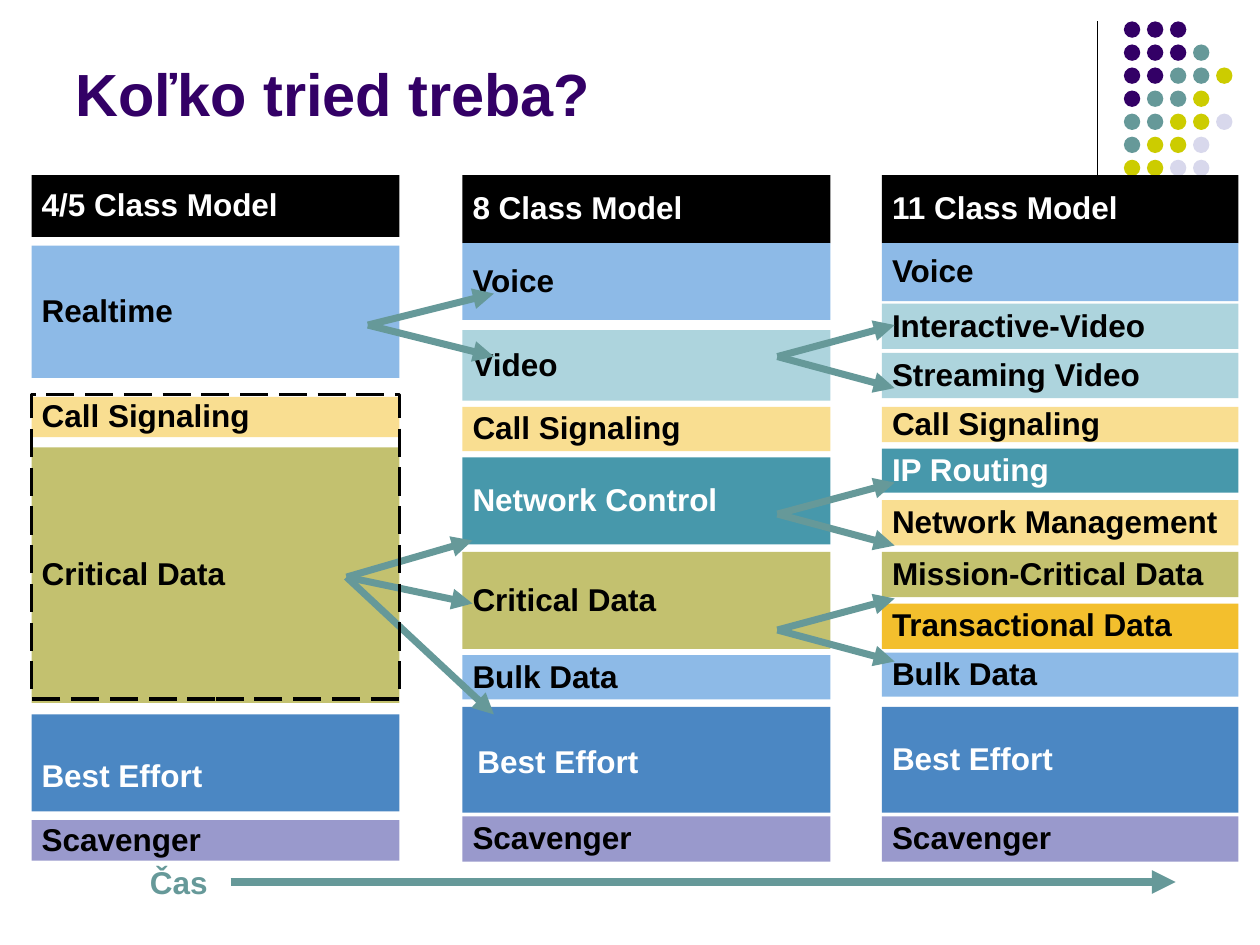
from pptx import Presentation
from pptx.dml.color import RGBColor
from pptx.enum.dml import MSO_LINE
from pptx.enum.shapes import MSO_CONNECTOR, MSO_SHAPE
from pptx.enum.text import MSO_ANCHOR, PP_ALIGN
from pptx.oxml.ns import qn
from pptx.util import Inches, Pt
from lxml.etree import SubElement

# Content: columns as (left, width, rows); a row is (text, top, height)
MODELS = [
    (0.25, 2.92, [
        ("4/5 Class Model", 1.39, 0.49), ("Realtime", 1.95, 1.05),
        ("Call Signaling", 3.15, 0.32), ("Critical Data", 3.55, 2.03),
        ("Best Effort", 5.67, 0.77), ("Scavenger", 6.51, 0.32)]),
    (3.67, 2.92, [
        ("8 Class Model", 1.39, 0.54), ("Voice", 1.93, 0.61),
        ("Video", 2.62, 0.56), ("Call Signaling", 3.23, 0.35),
        ("Network Control", 3.63, 0.69), ("Critical Data", 4.38, 0.77),
        ("Bulk Data", 5.2, 0.35), ("Best Effort", 5.61, 0.84),
        ("Scavenger", 6.48, 0.36)]),
    (7, 2.83, [
        ("11 Class Model", 1.39, 0.54), ("Voice", 1.93, 0.46),
        ("Interactive-Video", 2.41, 0.36), ("Streaming Video", 2.8, 0.36),
        ("Call Signaling", 3.23, 0.28), ("IP Routing", 3.56, 0.35),
        ("Network Management", 3.97, 0.36),
        ("Mission-Critical Data", 4.38, 0.36),
        ("Transactional Data", 4.79, 0.36), ("Bulk Data", 5.18, 0.35),
        ("Best Effort", 5.61, 0.84), ("Scavenger", 6.48, 0.36)]),
]

# Fill of each traffic class
FILLS = {
    "000000": ["4/5 Class Model", "8 Class Model", "11 Class Model"],
    "8DBAE7": ["Realtime", "Voice", "Bulk Data"],
    "ADD4DD": ["Video", "Interactive-Video", "Streaming Video"],
    "F9DE91": ["Call Signaling", "Network Management"],
    "4798AB": ["Network Control", "IP Routing"],
    "C3C16F": ["Critical Data", "Mission-Critical Data"],
    "F3BF2D": ["Transactional Data"],
    "4B87C3": ["Best Effort"],
    "9999CC": ["Scavenger"],
}
FILL_OF = {name: tone for tone, names in FILLS.items() for name in names}
DARK = ("000000", "4798AB", "4B87C3")

# Labels set apart from their box: (column, text) -> left, top, width
LOOSE = {(0, "Best Effort"): (0.25, 5.98, 2.83),
         (1, "Best Effort"): (3.71, 5.87, 2.83)}

# Splits: start point, then end points
SPLITS = [
    ((6.17, 4.08), [(7.1, 3.83), (7.1, 4.33)]),
    ((6.17, 5), [(7.1, 4.75), (7.1, 5.25)]),
    ((6.17, 2.83), [(7.1, 2.58), (7.1, 3.08)]),
    ((2.92, 2.58), [(3.92, 2.33), (3.92, 2.83)]),
    ((2.75, 4.58), [(3.75, 4.29), (3.75, 4.79), (3.92, 5.67)]),
]

# Corner dots, one letter a dot
DOTS = ["PPP", "PPPT", "PPTTY", "PTTY", "TTYYL", "TYYL", "YYLL"]
TEAL, PLUM = "669999", "330066"
TONES = {"P": PLUM, "T": TEAL, "Y": "CCCC00", "L": "D8D8EC"}

deck = Presentation()
deck.slide_width, deck.slide_height = Inches(10), Inches(7.5)
slide = deck.slides.add_slide(deck.slide_layouts[5])
shapes = slide.shapes


def color(tone):
    return RGBColor.from_string(tone)


def write(shape, text, size=18, tone="000000", anchor=MSO_ANCHOR.MIDDLE,
          inset=(0.08, 0.04), space=0.95):
    frame = shape.text_frame
    frame.word_wrap = True
    frame.vertical_anchor = anchor
    frame.margin_left = frame.margin_right = Inches(inset[0])
    frame.margin_top = frame.margin_bottom = Inches(inset[1])
    para = frame.paragraphs[0]
    para.alignment = PP_ALIGN.LEFT
    para.line_spacing = space
    run = para.add_run()
    run.text = text
    font = run.font
    font.name, font.size, font.bold = "Arial", Pt(size), True
    font.color.rgb = color(tone)


def label(text, left, top, width, height, **style):
    box = shapes.add_textbox(*map(Inches, (left, top, width, height)))
    write(box, text, **style)


def draw(kind, left, top, width, height, fill=None):
    shape = shapes.add_shape(kind, *map(Inches, (left, top, width, height)))
    shape.shadow.inherit = False
    shape.line.fill.background()
    if fill:
        shape.fill.solid()
        shape.fill.fore_color.rgb = color(fill)
    else:
        shape.fill.background()
    return shape


def link(start, end, tone=TEAL, width=4, arrow=True):
    line = shapes.add_connector(
        MSO_CONNECTOR.STRAIGHT, *map(Inches, (*start, *end)))
    line.line.color.rgb = color(tone)
    line.line.width = Pt(width)
    if arrow:
        SubElement(line.line._get_or_add_ln(), qn("a:tailEnd"),
                   type="triangle")
    SubElement(line._element.spPr, qn("a:effectLst"))


# Corner ornament
link((8.71, 0.17), (8.71, 1.83), tone="000000", width=0.75, arrow=False)
STEP = 0.183
for row, marks in enumerate(DOTS):
    for col, mark in enumerate(marks):
        draw(MSO_SHAPE.OVAL, 8.92 + col * STEP, 0.17 + row * STEP,
             0.13, 0.13, TONES[mark])

# Title
title = shapes.title
title.left, title.top = Inches(0.5), Inches(0.13)
title.width, title.height = Inches(8.25), Inches(0.94)
write(title, "Koľko tried treba?", size=34, tone=PLUM,
      anchor=MSO_ANCHOR.BOTTOM, inset=(0.1, 0.05), space=1)

# Class columns
for col, (left, width, rows) in enumerate(MODELS):
    for text, top, height in rows:
        fill = FILL_OF[text]
        tone = "FFFFFF" if fill in DARK else "000000"
        box = draw(MSO_SHAPE.RECTANGLE, left, top, width, height, fill)
        if (col, text) in LOOSE:
            label(text, *LOOSE[col, text], 0.36, tone=tone,
                  anchor=MSO_ANCHOR.TOP)
        else:
            write(box, text, tone=tone)

# Split arrows
for start, ends in SPLITS:
    for end in ends:
        link(start, end)

# Dashed frame around signaling and critical data
frame = draw(MSO_SHAPE.RECTANGLE, 0.25, 3.13, 2.92, 2.42)
frame.line.color.rgb = color("000000")
frame.line.width = Pt(2)
frame.line.dash_style = MSO_LINE.LONG_DASH

# Time axis
label("Čas", 1.11, 6.79, 0.7, 0.42, tone=TEAL, space=1)
link((1.83, 7), (9.33, 7), width=4.5)

deck.save("out.pptx")
